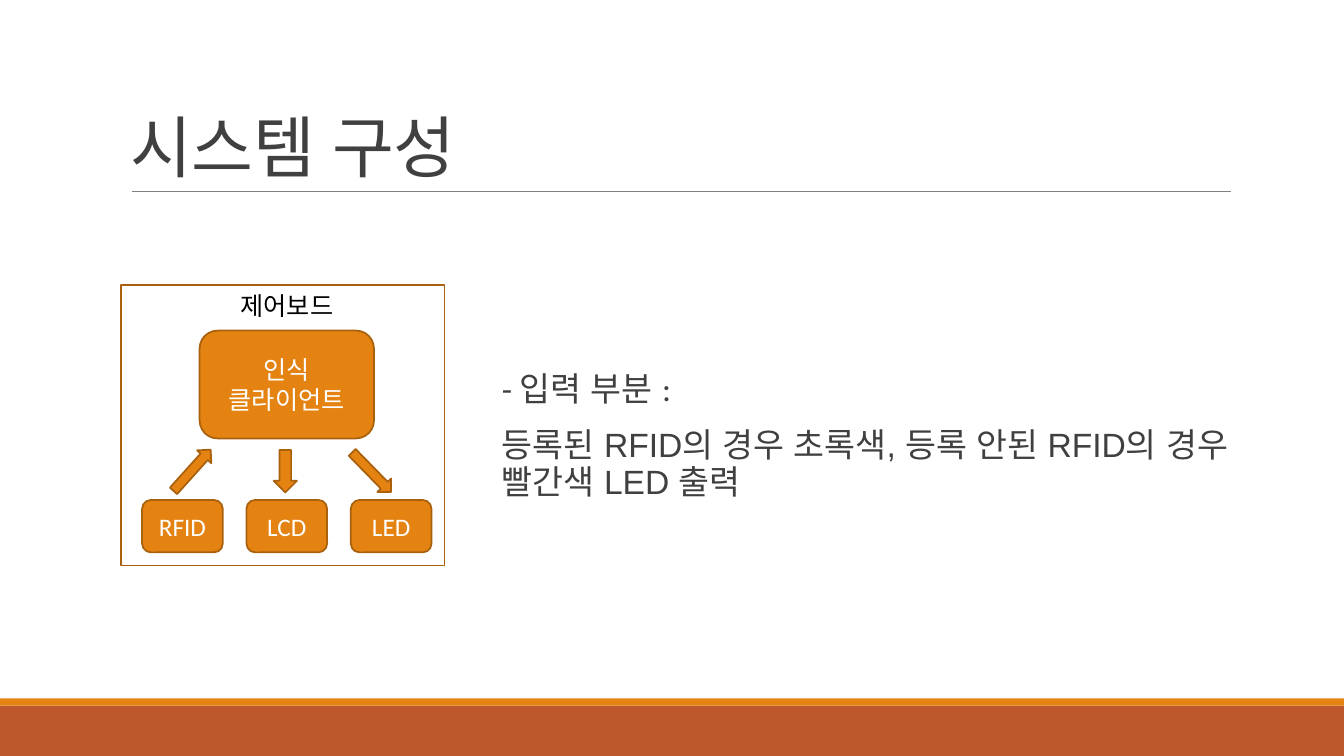
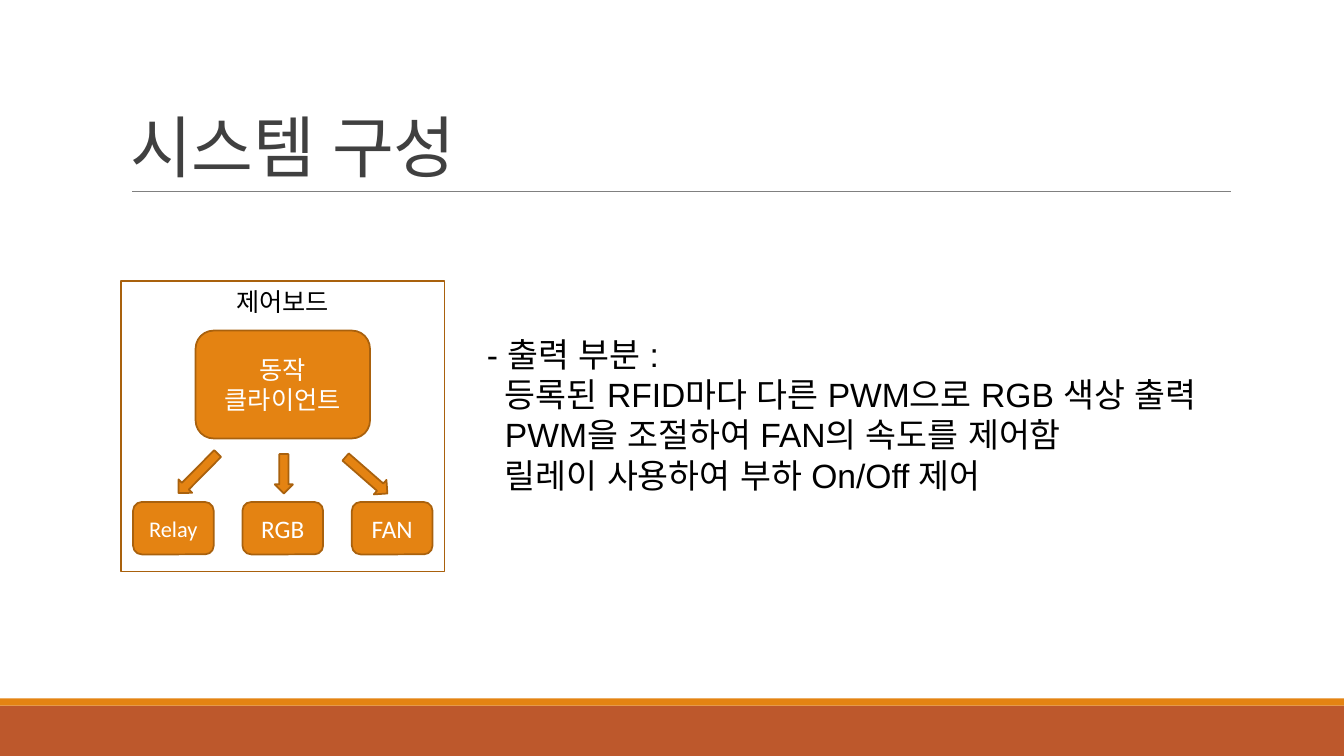
import pptx
import pptx.util
import pptx.dml.color
import pptx.enum.shapes
import pptx.enum.text
import lxml.etree
from pptx.oxml.ns import qn

Inches = pptx.util.Inches
Pt = pptx.util.Pt
RGBColor = pptx.dml.color.RGBColor
Shape = pptx.enum.shapes.MSO_SHAPE
Anchor = pptx.enum.text.MSO_ANCHOR
Align = pptx.enum.text.PP_ALIGN

ORANGE = RGBColor(0xE4, 0x83, 0x12)
BROWN = RGBColor(0xA9, 0x61, 0x0D)
RUST = RGBColor(0xBD, 0x58, 0x2C)
GRAY = RGBColor(0x80, 0x80, 0x80)
DARK = RGBColor(0x40, 0x40, 0x40)
BLACK = RGBColor(0, 0, 0)
WHITE = RGBColor(0xFF, 0xFF, 0xFF)

EAST_ASIAN_FONT = "Arial"
SLIDE_WIDTH = 13.33
FRAME_LEFT, FRAME_WIDTH = 1.2, 3.21
CLIENT_TOP, CLIENT_WIDTH, CLIENT_HEIGHT = 3.28, 1.73, 1.07
PART_WIDTH, PART_HEIGHT = 0.8, 0.52


def add_block(page, kind, left, top, width, height, fill=None, line=None):
    block = page.shapes.add_shape(
        kind, Inches(left), Inches(top), Inches(width), Inches(height))
    block.shadow.inherit = False
    if fill is None:
        block.fill.background()
    else:
        block.fill.solid()
        block.fill.fore_color.rgb = fill
    if line is None:
        block.line.fill.background()
    else:
        block.line.color.rgb = line
        block.line.width = Pt(1.25)
    return block


def format_paragraph(para, size, color, font="Calibri"):
    for span in para.runs:
        span.font.size = Pt(size)
        span.font.name = font
        span.font.color.rgb = color
        latin = span.font._element.find(qn("a:latin"))
        east_asian = lxml.etree.Element(qn("a:ea"))
        east_asian.set("typeface", EAST_ASIAN_FONT)
        latin.addnext(east_asian)


def add_text(page, left, top, width, height, lines, size, color, font="Calibri"):
    box = page.shapes.add_textbox(
        Inches(left), Inches(top), Inches(width), Inches(height))
    frame = box.text_frame
    frame.word_wrap = True
    frame.text = "\n".join(lines)
    for para in frame.paragraphs:
        format_paragraph(para, size, color, font)
    return frame


def add_node(page, left, top, width, height, label, size=18):
    node = add_block(page, Shape.ROUNDED_RECTANGLE, left, top, width, height, ORANGE, BROWN)
    frame = node.text_frame
    frame.text = label
    frame.word_wrap = True
    frame.vertical_anchor = Anchor.MIDDLE
    para = frame.paragraphs[0]
    para.alignment = Align.CENTER
    format_paragraph(para, size, WHITE)


def add_arrow(page, left, top, width, height, angle):
    arrow = add_block(page, Shape.RIGHT_ARROW, left, top, width, height, ORANGE, BROWN)
    arrow.rotation = angle


def add_page(deck, title):
    page = deck.slides.add_slide(deck.slide_layouts[6])
    add_block(page, Shape.RECTANGLE, 0, 7, SLIDE_WIDTH, 0.5, RUST)
    add_block(page, Shape.RECTANGLE, 0, 6.93, SLIDE_WIDTH, 0.07, ORANGE)
    rule = page.shapes.add_connector(
        pptx.enum.shapes.MSO_CONNECTOR.STRAIGHT,
        Inches(1.31), Inches(1.9), Inches(12.21), Inches(1.9))
    rule.line.color.rgb = GRAY
    rule.line.width = Pt(0.5)
    lxml.etree.SubElement(rule._element.spPr, qn("a:effectLst"))
    frame = add_text(page, 1.2, 0.31, 11, 1.59, [title], 48, DARK)
    frame.vertical_anchor = Anchor.BOTTOM
    para = frame.paragraphs[0]
    para.line_spacing = 0.85
    para.runs[0]._r.get_or_add_rPr().set("spc", "-50")
    return page


def add_diagram(page, frame_top, frame_height, client, client_left,
                parts, first_left, last_left, parts_top, arrows):
    add_block(page, Shape.RECTANGLE, FRAME_LEFT, frame_top,
              FRAME_WIDTH, frame_height, line=BROWN)
    label = add_text(page, client_left - 0.13, frame_top, 1.99, 0.4, ["제어보드"], 18, BLACK)
    label.paragraphs[0].alignment = Align.CENTER
    add_node(page, client_left, CLIENT_TOP, CLIENT_WIDTH, CLIENT_HEIGHT, client)
    step = (last_left - first_left) / (len(parts) - 1)
    for index, (part, size) in enumerate(parts):
        add_node(page, first_left + index * step, parts_top,
                 PART_WIDTH, PART_HEIGHT, part, size)
    for arrow in arrows:
        add_arrow(page, *arrow)


def add_input_page(deck, title):
    page = add_page(deck, title)
    add_diagram(
        page, 2.83, 2.78, "인식 클라이언트", 1.98,
        [("RFID", 18), ("LCD", 18), ("LED", 18)], 1.41, 3.48, 4.96,
        [(1.63, 4.57, 0.55, 0.19, 312),
         (2.62, 4.56, 0.42, 0.23, 90),
         (3.41, 4.59, 0.55, 0.19, 45.7)])
    frame = add_text(page, 4.88, 3.65, 7.5, 1.42, [
        "- 입력 부분 :",
        "등록된 RFID의 경우 초록색, 등록 안된 RFID의 경우 빨간색 LED 출력",
    ], 24, DARK)
    frame.margin_left = Inches(0.1)
    frame.margin_right = 0
    heading, detail = frame.paragraphs
    for para in (heading, detail):
        para.line_spacing = 0.9
        para.space_after = Pt(2)
    detail.space_before = Pt(12)
    for span in detail.runs:
        span.font.name = "Arial"


def add_output_page(deck, title):
    page = add_page(deck, title)
    add_diagram(
        page, 2.79, 2.88, "동작 클라이언트", 1.94,
        [("Relay", 16), ("RGB", 18), ("FAN", 18)], 1.32, 3.49, 4.98,
        [(1.69, 4.6, 0.55, 0.19, 134.7),
         (2.62, 4.61, 0.39, 0.18, 90),
         (3.36, 4.62, 0.55, 0.19, 41.1)])
    frame = add_text(page, 4.73, 3.26, 7.55, 2.1, [
        "- 출력 부분 :",
        "등록된 RFID마다 다른 PWM으로 RGB 색상 출력",
        "PWM을 조절하여 FAN의 속도를 제어함",
        "릴레이 사용하여 부하 On/Off 제어",
    ], 24, BLACK, "Arial")
    frame.auto_size = pptx.enum.text.MSO_AUTO_SIZE.SHAPE_TO_FIT_TEXT
    for para in frame.paragraphs[1:]:
        para._p.get_or_add_pPr().set("indent", str(Inches(0.18)))


def main():
    deck = pptx.Presentation()
    deck.slide_width = Inches(SLIDE_WIDTH)
    deck.slide_height = Inches(7.5)
    title = "시스템 구성"
    add_input_page(deck, title)
    add_output_page(deck, title)
    deck.save("out.pptx")


if __name__ == "__main__":
    main()
